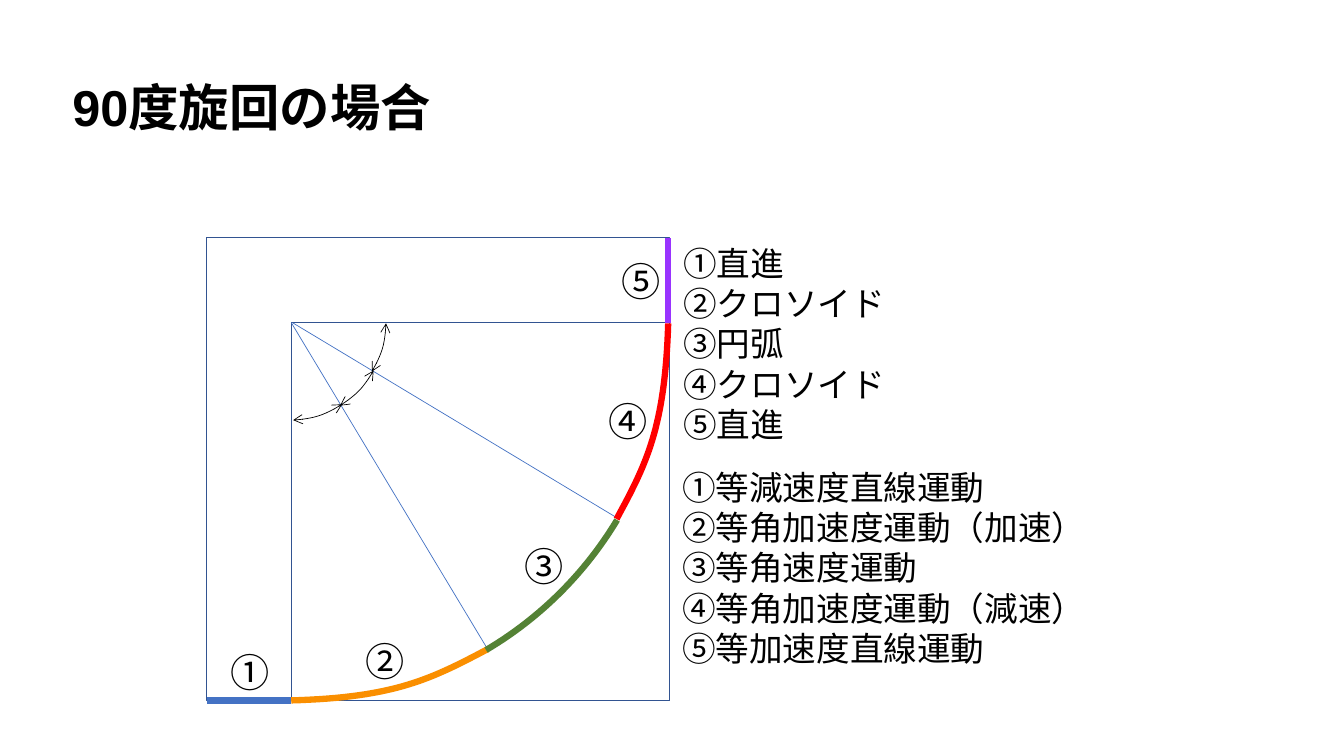
from lxml import etree
from pptx import Presentation
from pptx.dml.color import RGBColor
from pptx.enum.shapes import MSO_CONNECTOR, MSO_SHAPE
from pptx.enum.text import MSO_ANCHOR, PP_ALIGN
from pptx.oxml.ns import qn
from pptx.util import Cm, Pt

STRAIGHT = MSO_CONNECTOR.STRAIGHT
RECTANGLE, ARC = MSO_SHAPE.RECTANGLE, MSO_SHAPE.ARC
MIDDLE, LEFT = MSO_ANCHOR.MIDDLE, PP_ALIGN.LEFT
JAPANESE = "Noto Sans CJK JP"
COLORS = {
    "white": "FFFFFF", "black": "000000", "frame": "325491", "blue": "4472C4",
    "orange": "FA8F00", "green": "548235", "red": "FF0000", "purple": "9933FF",
}


def set_line(shape, color, width):
    shape.line.color.rgb = RGBColor.from_string(COLORS[color])
    shape.line.width = Pt(width)


def write_text(box, lines, size, font=JAPANESE, bold=False):
    frame = box.text_frame
    frame.word_wrap = True
    for index, line in enumerate(lines):
        para = frame.add_paragraph() if index else frame.paragraphs[0]
        para.alignment = LEFT
        span = para.add_run()
        span.text = line
        span.font.name, span.font.size, span.font.bold = font, Pt(size), bold
        span.font.color.rgb = RGBColor.from_string(COLORS["black"])
        east_asian = etree.SubElement(span.font._element, qn("a:ea"))
        east_asian.set("typeface", JAPANESE)


deck = Presentation()
deck.slide_width, deck.slide_height = Cm(33.87), Cm(19.05)
page = deck.slides.add_slide(deck.slide_layouts[5])
shapes = page.shapes

# Title
title = shapes.title
title.left, title.top, title.width, title.height = Cm(1.57), Cm(1.78), Cm(17.2), Cm(1.8)
title.text_frame.vertical_anchor = MIDDLE
write_text(title, ["90度旋回の場合"], 36, "Arial", True)

# Outer square and turning area
for left, top, side in [(5.21, 5.99, 11.66), (7.34, 8.13, 9.53)]:
    square = shapes.add_shape(RECTANGLE, Cm(left), Cm(top), Cm(side), Cm(side))
    square.shadow.inherit = False
    square.fill.solid()
    square.fill.fore_color.rgb = RGBColor.from_string(COLORS["white"])
    set_line(square, "frame", 1)

# Straight runs and the rays that divide the turn
for x1, y1, x2, y2, color, width in [
    (5.21, 17.65, 7.34, 17.65, "blue", 4.5),
    (7.34, 8.13, 12.29, 16.36, "blue", 0.5),
    (7.37, 8.13, 15.6, 13.08, "blue", 0.5),
    (16.84, 8.13, 16.84, 5.99, "purple", 4.5),
]:
    line = shapes.add_connector(STRAIGHT, Cm(x1), Cm(y1), Cm(x2), Cm(y2))
    etree.SubElement(line._element.spPr, qn("a:effectLst"))
    set_line(line, color, width)

# Clothoids, sampled from cubic control points
STEPS = 32
for color, controls in [
    ("orange", [(7.34, 17.65), (9.98, 17.58), (10.9, 17.09), (12.29, 16.36)]),
    ("red", [(16.84, 8.15), (16.76, 10.8), (16.28, 11.71), (15.54, 13.08)]),
]:
    points = []
    for step in range(STEPS + 1):
        t = step / STEPS
        weights = [(1 - t) ** 3, 3 * t * (1 - t) ** 2, 3 * t * t * (1 - t), t ** 3]
        points.append([Cm(sum(w * c[axis] for w, c in zip(weights, controls)))
                       for axis in (0, 1)])
    builder = shapes.build_freeform(*points[0])
    builder.add_line_segments(points[1:], close=False)
    clothoid = builder.convert_to_shape()
    clothoid.shadow.inherit = False
    clothoid.fill.background()
    set_line(clothoid, color, 4.5)

# Circular arc and angle arrows, with angles in degrees
for left, top, side, start, end, color, width, arrows in [
    (-2.06, -1.27, 18.97, 31.03, 59.41, "green", 4.5, False),
    (4.83, 5.69, 4.9, 56.77, 87.45, "black", 0.5, True),
    (4.83, 5.69, 4.9, 29.34, 58.19, "black", 0.5, True),
    (4.83, 5.64, 4.9, 1.34, 31.3, "black", 0.5, True),
]:
    arc = shapes.add_shape(ARC, Cm(left), Cm(top), Cm(side), Cm(side))
    arc.shadow.inherit = False
    arc.adjustments[0], arc.adjustments[1] = start * 0.6, end * 0.6
    arc.fill.background()
    set_line(arc, color, width)
    if arrows:
        for tag in ("a:headEnd", "a:tailEnd"):
            etree.SubElement(arc.line._ln, qn(tag)).set("type", "arrow")

# Section numbers
for number, left, top in [
    ("①", 5.56, 16.21), ("②", 8.97, 15.93), ("③", 12.98, 13.54),
    ("④", 15.09, 9.88), ("⑤", 15.42, 6.35),
]:
    label = shapes.add_textbox(Cm(left), Cm(top), Cm(2.41), Cm(1.45))
    write_text(label, [number], 28)

# Path shapes and motions by section
for left, top, width, lines in [
    (16.97, 5.99, 8.41,
     ["①直進", "②クロソイド", "③円弧", "④クロソイド", "⑤直進"]),
    (16.94, 11.63, 12.04,
     ["①等減速度直線運動", "②等角加速度運動（加速）", "③等角速度運動",
      "④等角加速度運動（減速）", "⑤等加速度直線運動"]),
]:
    legend = shapes.add_textbox(Cm(left), Cm(top), Cm(width), Cm(5.38))
    write_text(legend, lines, 24)

deck.save("out.pptx")
